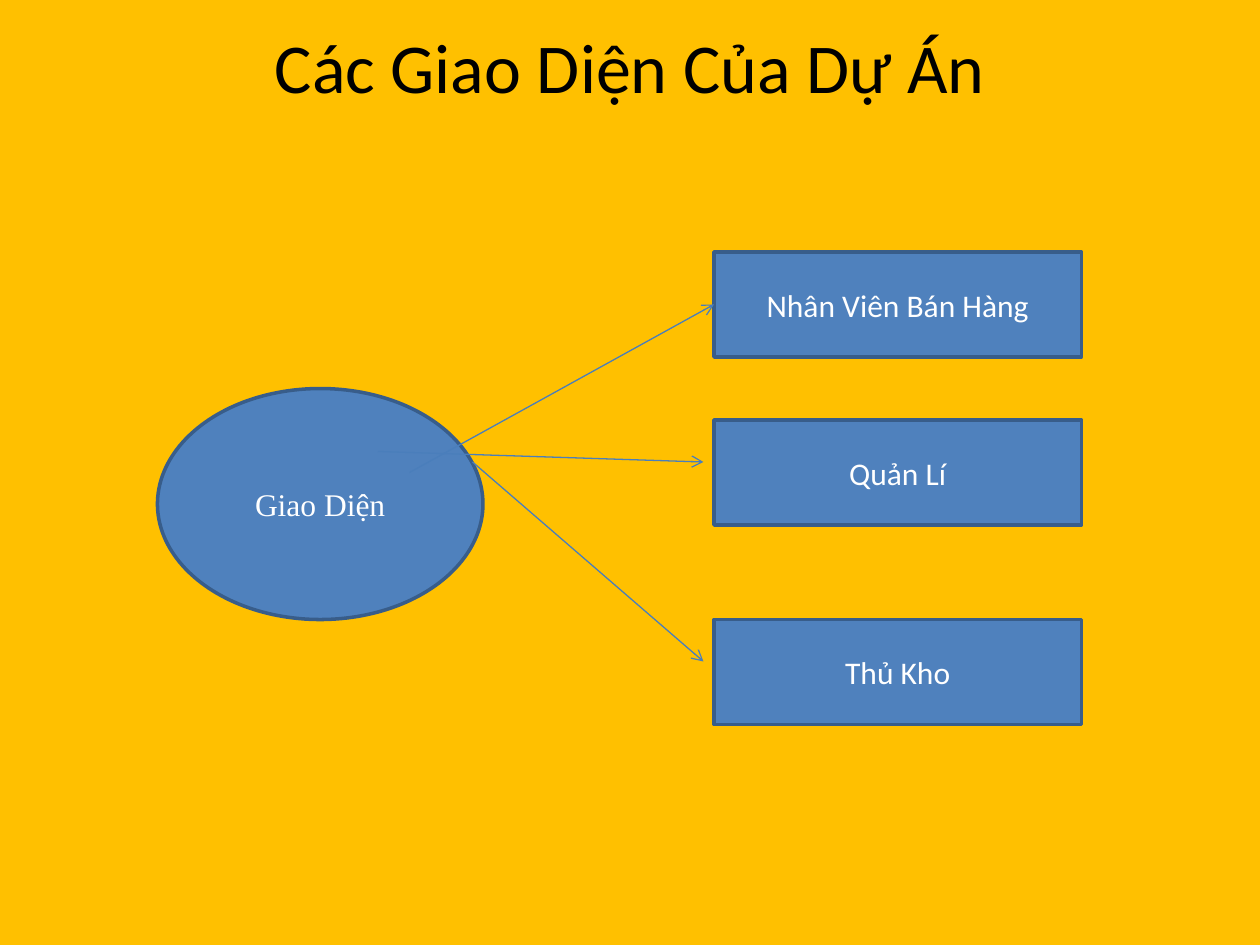
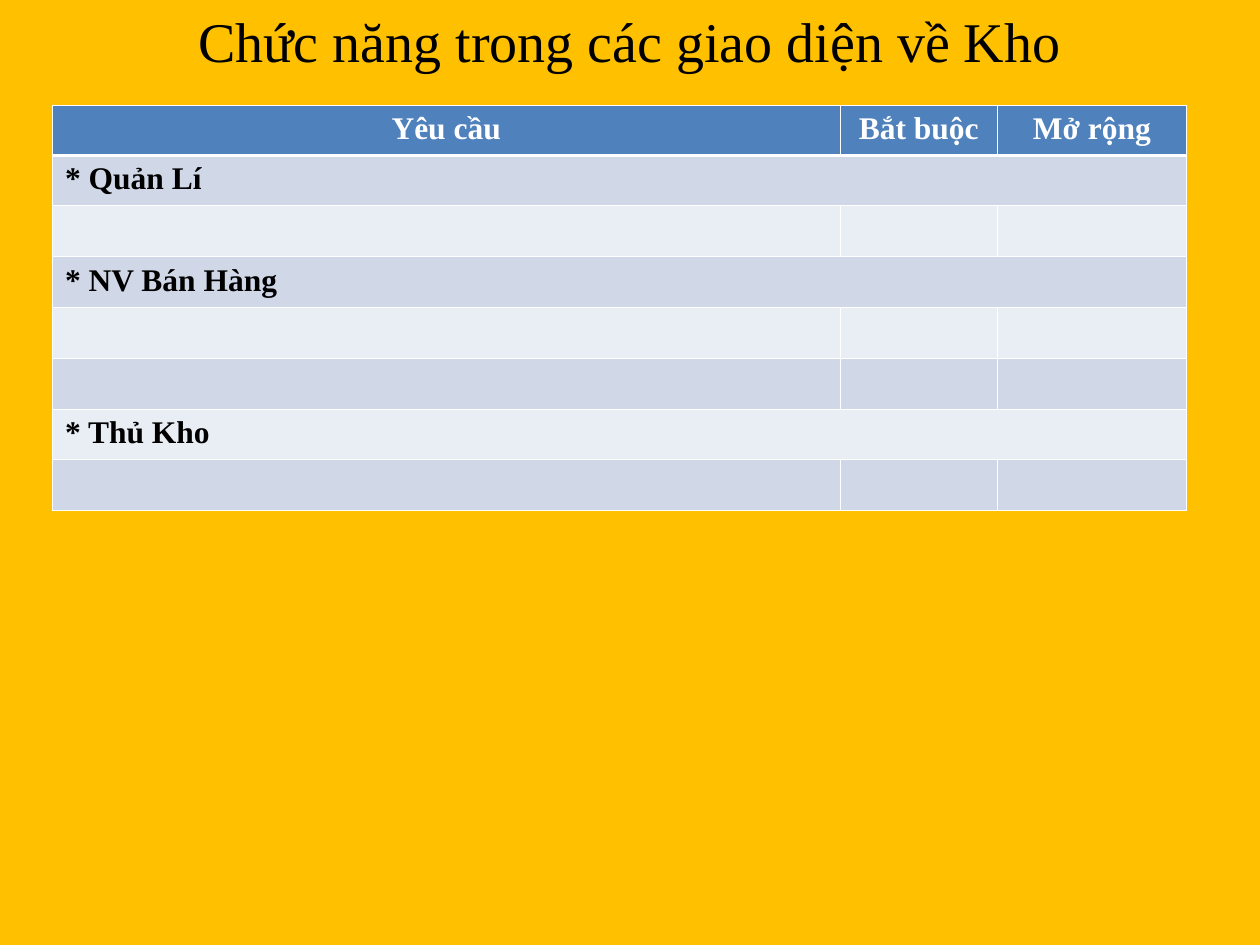
from lxml.etree import SubElement
from pptx import Presentation
from pptx.dml.color import RGBColor
from pptx.enum.shapes import MSO_CONNECTOR, MSO_SHAPE
from pptx.enum.text import MSO_ANCHOR, PP_ALIGN
from pptx.oxml.ns import qn
from pptx.util import Inches, Pt

WIDTH, HEIGHT = 10, 7.5
CELLS_PER_INCH = 12
BACKGROUND, BLACK, WHITE = "FFC000", "000000", "FFFFFF"
BLUE, OUTLINE, ARROW = "4F81BD", "385D8A", "4A7EBB"
DARK_BAND, LIGHT_BAND = "D0D8E8", "E9EDF4"
SANS, SERIF = "Calibri", "Times New Roman"

ROLES = [("Nhân Viên Bán Hàng", 0), ("Quản Lí", 16), ("Thủ Kho", 35)]
ARROWS = [((24, 21), (53, 5)), ((21, 19), (52, 20)), ((30, 20), (52, 39))]
HEADERS = ["Yêu cầu", "Bắt buộc", "Mở rộng"]
BODY_ROWS = ["* Quản Lí", "", "* NV Bán Hàng", "", "", "* Thủ Kho", ""]
COLUMN_WIDTHS = [75, 15, 18]
ROW_HEIGHT = 4.8


def grid(*cells):
    """Turn grid cells into lengths."""
    return [Inches(cell / CELLS_PER_INCH) for cell in cells]


def paint(target, color):
    """Give a fill a solid colour."""
    target.solid()
    target.fore_color.rgb = RGBColor.from_string(color)


def write(text_frame, text, size, font, color, align=PP_ALIGN.CENTER, bold=False):
    """Set one line of text and its format."""
    text_frame.text = text
    paragraph = text_frame.paragraphs[0]
    paragraph.alignment = align
    for run in paragraph.runs:
        run.font.size, run.font.name, run.font.bold = Pt(size), font, bold
        run.font.color.rgb = RGBColor.from_string(color)


def add_slide(presentation):
    """Add a blank slide on the shared background."""
    slide = presentation.slides.add_slide(presentation.slide_layouts[6])
    paint(slide.background.fill, BACKGROUND)
    return slide


def add_title(slide, box, text, size, font, anchor):
    """Place a centred slide title."""
    text_frame = slide.shapes.add_textbox(*grid(*box)).text_frame
    text_frame.word_wrap = True
    text_frame.vertical_anchor = anchor
    write(text_frame, text, size, font, BLACK)


def add_node(slide, kind, box, text, font):
    """Place a labelled diagram node."""
    shape = slide.shapes.add_shape(kind, *grid(*box))
    shape.shadow.inherit = False
    paint(shape.fill, BLUE)
    paint(shape.line.fill, OUTLINE)
    shape.line.width = Pt(2)
    shape.text_frame.word_wrap = True
    shape.text_frame.vertical_anchor = MSO_ANCHOR.MIDDLE
    write(shape.text_frame, text, 18, font, WHITE)


def add_arrow(slide, start, end):
    """Draw a thin line with an open arrowhead at its end."""
    connector = slide.shapes.add_connector(
        MSO_CONNECTOR.STRAIGHT, *grid(*start), *grid(*end))
    paint(connector.line.fill, ARROW)
    connector.line.width = Pt(0.75)
    properties = connector._element.spPr
    SubElement(properties.find(qn("a:ln")), qn("a:tailEnd"), type="arrow")
    SubElement(properties, qn("a:effectLst"))


def add_diagram(slide, left, top):
    """Place the interface ellipse, its roles and the arrows between them."""
    add_node(slide, MSO_SHAPE.OVAL, (left, top + 13, 31, 22), "Giao Diện", SERIF)
    for role, offset in ROLES:
        add_node(slide, MSO_SHAPE.RECTANGLE, (left + 53, top + offset, 35, 10), role, SANS)
    for start, end in ARROWS:
        add_arrow(slide, *[(left + x, top + y) for x, y in (start, end)])


def add_borders(cell, row):
    """Draw white cell borders, heavier between header and body."""
    heavy_side = {0: "lnB", 1: "lnT"}.get(row)
    properties = cell._tc.get_or_add_tcPr()
    for side in ("lnL", "lnR", "lnT", "lnB"):
        width = Pt(1.47 if side == heavy_side else 0.45)
        line = SubElement(properties, qn(f"a:{side}"), w=str(width))
        SubElement(SubElement(line, qn("a:solidFill")), qn("a:srgbClr"), val=WHITE)


def add_requirements(slide, left, top):
    """Place the table of requirements with a merged row for each role."""
    rows = [HEADERS] + [[text, "", ""] for text in BODY_ROWS]
    box = grid(left, top, sum(COLUMN_WIDTHS), ROW_HEIGHT * len(rows))
    table = slide.shapes.add_table(len(rows), len(HEADERS), *box).table
    for column, width in zip(table.columns, grid(*COLUMN_WIDTHS)):
        column.width = width
    for row, texts in enumerate(rows):
        header = row == 0
        fill = BLUE if header else (DARK_BAND if row % 2 else LIGHT_BAND)
        for column, text in enumerate(texts):
            cell = table.cell(row, column)
            add_borders(cell, row)
            paint(cell.fill, fill)
            if text:
                write(cell.text_frame, text, 18, SERIF, WHITE if header else BLACK,
                      PP_ALIGN.CENTER if header else PP_ALIGN.LEFT, True)
        if texts[0] and not header:
            table.cell(row, 0).merge(table.cell(row, len(HEADERS) - 1))


def build_interfaces(presentation):
    """Build the slide that maps the interfaces to roles."""
    slide = add_slide(presentation)
    add_title(slide, (6, 2, 108, 8.4), "Các Giao Diện Của Dự Án", 40, SANS,
              MSO_ANCHOR.MIDDLE)
    add_diagram(slide, 15, 24)


def build_functions(presentation):
    """Build the slide that lists the warehouse functions."""
    slide = add_slide(presentation)
    add_requirements(slide, 5, 10)
    add_title(slide, (0, 0, 120, 7.7), "Chức năng trong các giao diện về Kho", 32, SERIF,
              MSO_ANCHOR.TOP)


def main():
    """Build and save the presentation."""
    presentation = Presentation()
    presentation.slide_width, presentation.slide_height = Inches(WIDTH), Inches(HEIGHT)
    build_interfaces(presentation)
    build_functions(presentation)
    presentation.save("out.pptx")


if __name__ == "__main__":
    main()
